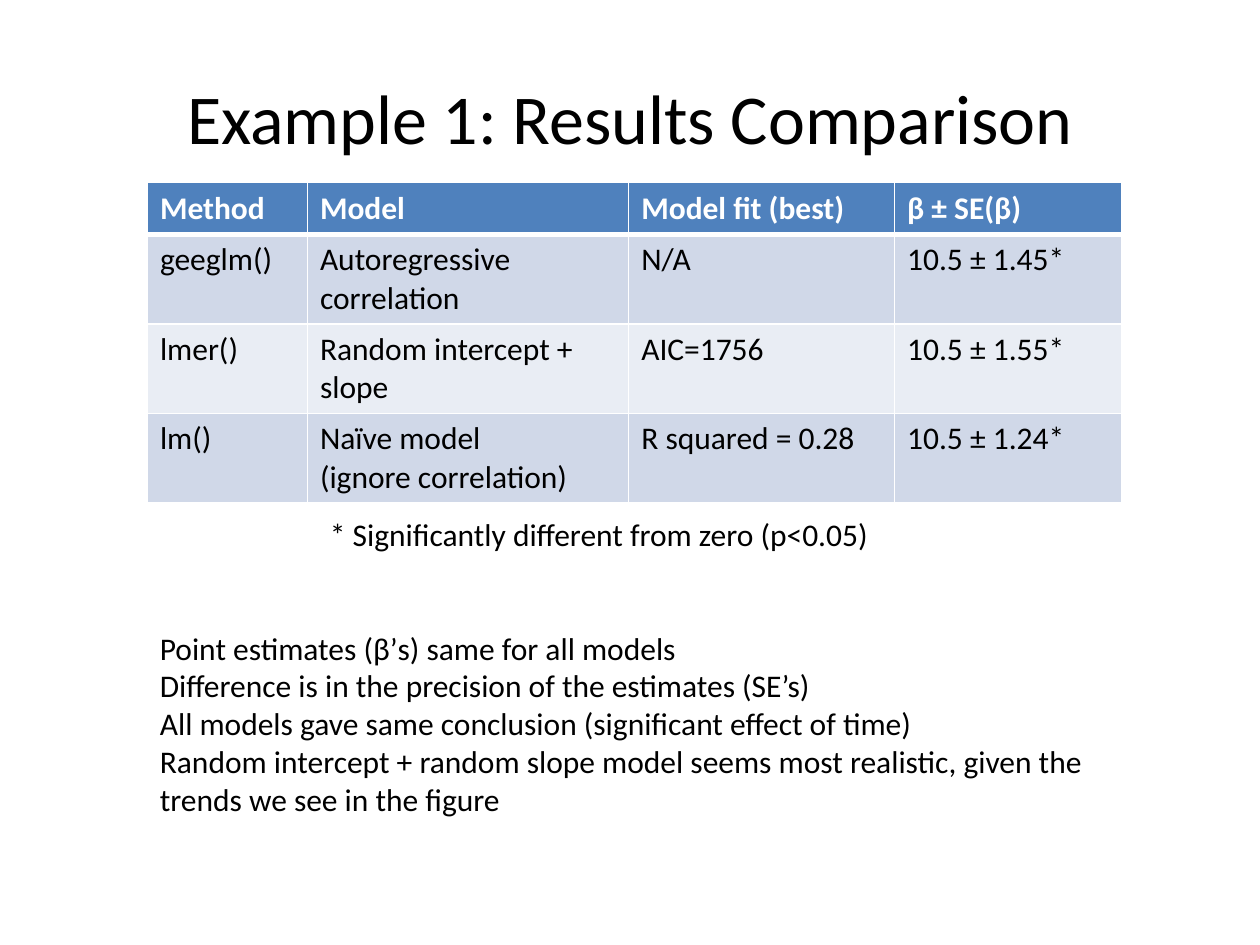
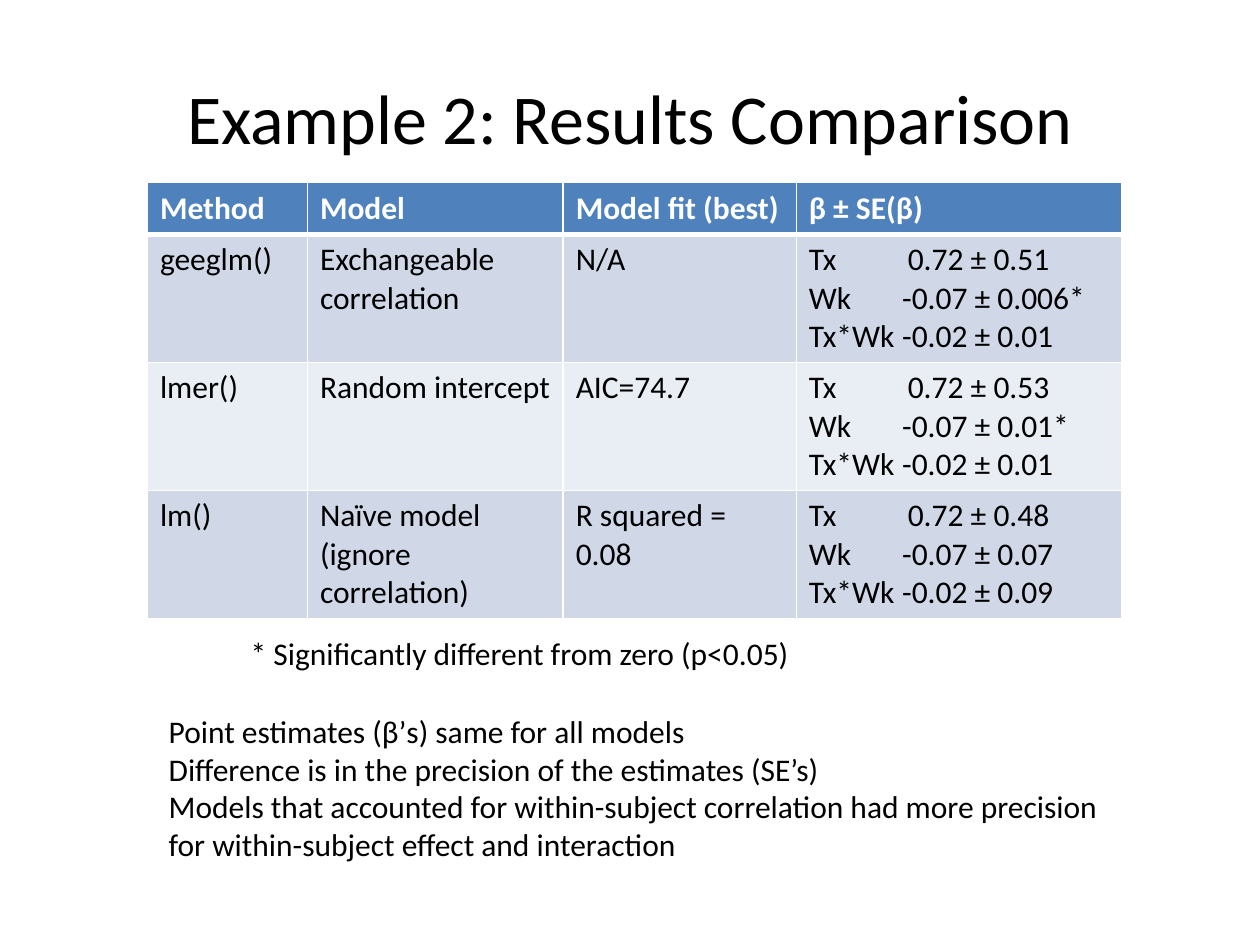
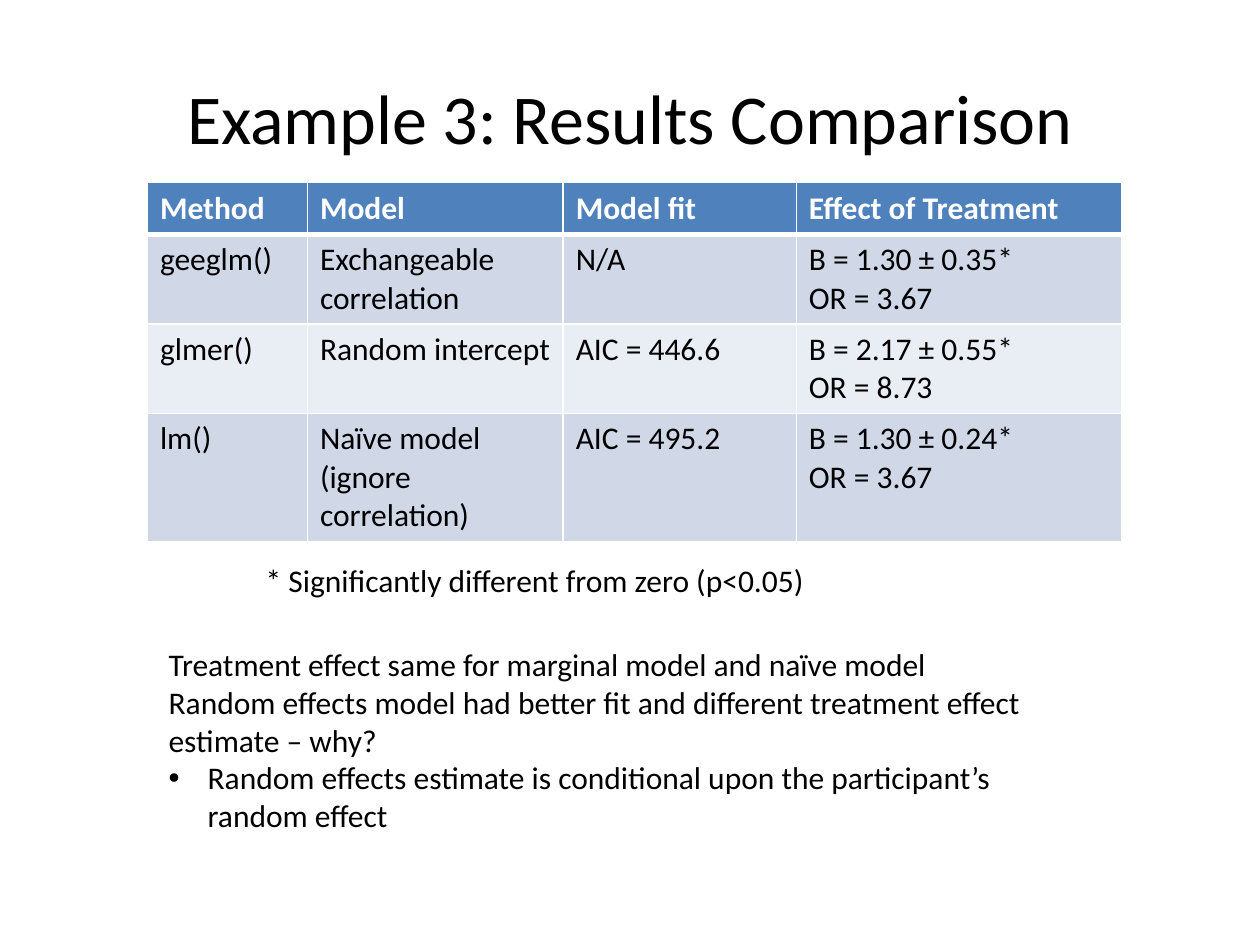
from dataclasses import dataclass
from typing import NamedTuple

import lxml.etree
import pptx
import pptx.dml.color
import pptx.enum.text
import pptx.oxml
import pptx.oxml.ns
import pptx.util


@dataclass(frozen=True)
class Theme:
    font: str = "Calibri"
    title_size: int = 40
    body_size: int = 18
    text: str = "000000"
    header_text: str = "FFFFFF"
    header_fill: str = "4F81BD"
    odd_fill: str = "D0D8E8"
    even_fill: str = "E9EDF4"
    border: str = "FFFFFF"
    thin: int = 1
    thick: int = 3


class Area(NamedTuple):
    left: float
    top: float
    width: float
    height: float


class Line(NamedTuple):
    text: str
    bulleted: bool = False


class Row(NamedTuple):
    cells: tuple[str, ...]
    lines: int = 1


@dataclass(frozen=True)
class Comparison:
    title: str
    columns: tuple[float, ...]
    rows: tuple[Row, ...]
    footnote_area: Area
    findings_area: Area
    findings: tuple[Line, ...]


THEME = Theme()
WIDTH = pptx.util.Inches(10)
HEIGHT = pptx.util.Inches(7.5)
GRID_COLUMNS = 100
GRID_ROWS = 75
TITLE_AREA = Area(5, 3, 90, 12.5)
TABLE_LEFT, TABLE_TOP = 11.7, 14.5
CELL_PADDING_ROWS, TEXT_LINE_ROWS = 1.1, 3
BULLET_INDENT = 3.1
NEGATIVE_TAB, POSITIVE_TAB = 7.4, 7.85
FOOTNOTE = "* Significantly different from zero (p<0.05)"
WIDE_MODEL = (12.7, 25.5, 21.1, 18)
WIDE_ESTIMATE = (12.7, 20.3, 18.5, 25.8)
NAIVE = "Naïve model\n(ignore correlation)"
SAME_ESTIMATES = (
    Line("Point estimates (β’s) same for all models"),
    Line("Difference is in the precision of the estimates (SE’s)"),
)

COMPARISONS = (
    Comparison(
        "Example 1: Results Comparison",
        WIDE_MODEL,
        (
            Row(("Method", "Model", "Model fit (best)", "β ± SE(β)")),
            Row(("geeglm()", "Autoregressive correlation", "N/A", "10.5 ± 1.45*"), 2),
            Row(("lmer()", "Random intercept + slope", "AIC=1756", "10.5 ± 1.55*"), 2),
            Row(("lm()", NAIVE, "R squared = 0.28", "10.5 ± 1.24*"), 2),
        ),
        Area(25.2, 40.4, 60.5, 4),
        Area(11.7, 49.4, 75.8, 16.2),
        SAME_ESTIMATES + (
            Line("All models gave same conclusion (significant effect of time)"),
            Line("Random intercept + random slope model seems most realistic, "
                 "given the trends we see in the figure"),
        ),
    ),
    Comparison(
        "Example 2: Results Comparison",
        WIDE_ESTIMATE,
        (
            Row(("Method", "Model", "Model fit (best)", "β ± SE(β)")),
            Row(("geeglm()", "Exchangeable correlation", "N/A",
                 "Tx\t0.72 ± 0.51\nWk\t-0.07 ± 0.006*\nTx*Wk\t-0.02 ± 0.01"), 3),
            Row(("lmer()", "Random intercept", "AIC=74.7",
                 "Tx\t0.72 ± 0.53\nWk\t-0.07 ± 0.01*\nTx*Wk\t-0.02 ± 0.01"), 3),
            Row(("lm()", NAIVE, "R squared = 0.08",
                 "Tx\t0.72 ± 0.48\nWk\t-0.07 ± 0.07\nTx*Wk\t-0.02 ± 0.09"), 3),
        ),
        Area(18.9, 49.8, 60.5, 4),
        Area(12.4, 56, 75.8, 13.1),
        SAME_ESTIMATES + (
            Line("Models that accounted for within-subject correlation had more precision "
                 "for within-subject effect and interaction"),
        ),
    ),
    Comparison(
        "Example 3: Results Comparison",
        WIDE_ESTIMATE,
        (
            Row(("Method", "Model", "Model fit", "Effect of Treatment")),
            Row(("geeglm()", "Exchangeable correlation", "N/A",
                 "Β = 1.30 ± 0.35*\nOR = 3.67"), 2),
            Row(("glmer()", "Random intercept", "AIC = 446.6",
                 "Β = 2.17 ± 0.55*\nOR = 8.73"), 2),
            Row(("lm()", NAIVE, "AIC = 495.2", "Β = 1.30 ± 0.24*\nOR = 3.67"), 3),
        ),
        Area(20.1, 44, 60.5, 4),
        Area(12.4, 50.7, 70.7, 16.2),
        (
            Line("Treatment effect same for marginal model and naïve model"),
            Line("Random effects model had better fit and different treatment effect "
                 "estimate – why?"),
            Line("Random effects estimate is conditional upon the participant’s random effect",
                 bulleted=True),
        ),
    ),
)


def across(columns: float) -> int:
    return round(WIDTH * columns / GRID_COLUMNS)


def down(rows: float) -> int:
    return round(HEIGHT * rows / GRID_ROWS)


def place(area: Area) -> tuple[int, int, int, int]:
    return across(area.left), down(area.top), across(area.width), down(area.height)


def rgb(value: str) -> pptx.dml.color.RGBColor:
    return pptx.dml.color.RGBColor.from_string(value)


def add_child(parent, tag: str, **attributes: str):
    child = lxml.etree.SubElement(parent, pptx.oxml.ns.qn(tag))
    for name, value in attributes.items():
        child.set(name, value)
    return child


def add_run(paragraph, text: str, size: int = THEME.body_size,
            color: str = THEME.text, bold: bool = False) -> None:
    run = paragraph.add_run()
    run.text = text
    run.font.name = THEME.font
    run.font.size = pptx.util.Pt(size)
    run.font.bold = bold
    run.font.color.rgb = rgb(color)


def add_bullet(paragraph) -> None:
    properties = paragraph._p.get_or_add_pPr()
    properties.set("marL", str(across(BULLET_INDENT)))
    properties.set("indent", str(-across(BULLET_INDENT)))
    add_child(properties, "a:buFont", typeface="Arial")
    add_child(properties, "a:buChar", char="•")


def add_tab(paragraph, position: float) -> None:
    tabs = add_child(paragraph._p.get_or_add_pPr(), "a:tabLst")
    add_child(tabs, "a:tab", pos=str(across(position)), algn="l")


def next_paragraph(frame, index: int):
    return frame.paragraphs[0] if index == 0 else frame.add_paragraph()


def draw_title(slide, text: str) -> None:
    title = slide.shapes.title
    title.left, title.top, title.width, title.height = place(TITLE_AREA)
    frame = title.text_frame
    frame.vertical_anchor = pptx.enum.text.MSO_ANCHOR.MIDDLE
    paragraph = frame.paragraphs[0]
    paragraph.alignment = pptx.enum.text.PP_ALIGN.CENTER
    add_run(paragraph, text, THEME.title_size)


def draw_text(slide, area: Area, lines: tuple[Line, ...]) -> None:
    frame = slide.shapes.add_textbox(*place(area)).text_frame
    frame.word_wrap = True
    frame.auto_size = pptx.enum.text.MSO_AUTO_SIZE.SHAPE_TO_FIT_TEXT
    for index, line in enumerate(lines):
        paragraph = next_paragraph(frame, index)
        if line.bulleted:
            add_bullet(paragraph)
        add_run(paragraph, line.text)


def add_borders(cell, row_index: int) -> None:
    properties = cell._tc.get_or_add_tcPr()
    widths = {
        "a:lnL": THEME.thin,
        "a:lnR": THEME.thin,
        "a:lnT": THEME.thick if row_index == 1 else THEME.thin,
        "a:lnB": THEME.thick if row_index == 0 else THEME.thin,
    }
    for tag, width in widths.items():
        border = add_child(properties, tag, w=str(pptx.util.Pt(width)))
        add_child(add_child(border, "a:solidFill"), "a:srgbClr", val=THEME.border)


def draw_cell(cell, text: str, row_index: int) -> None:
    is_header = row_index == 0
    band = THEME.odd_fill if row_index % 2 else THEME.even_fill
    add_borders(cell, row_index)
    cell.fill.solid()
    cell.fill.fore_color.rgb = rgb(THEME.header_fill if is_header else band)
    for index, line in enumerate(text.split("\n")):
        paragraph = next_paragraph(cell.text_frame, index)
        if "\t" in line:
            add_tab(paragraph, NEGATIVE_TAB if "\t-" in line else POSITIVE_TAB)
        add_run(paragraph, line, color=THEME.header_text if is_header else THEME.text,
                bold=is_header)


def draw_table(slide, columns: tuple[float, ...], rows: tuple[Row, ...]) -> None:
    heights = [CELL_PADDING_ROWS + TEXT_LINE_ROWS * row.lines for row in rows]
    area = Area(TABLE_LEFT, TABLE_TOP, sum(columns), sum(heights))
    table = slide.shapes.add_table(len(rows), len(columns), *place(area)).table
    table.horz_banding = False
    for column, width in zip(table.columns, columns):
        column.width = across(width)
    for row_index, row in enumerate(rows):
        table.rows[row_index].height = down(heights[row_index])
        for column_index, text in enumerate(row.cells):
            draw_cell(table.cell(row_index, column_index), text, row_index)


def draw_comparison(presentation, comparison: Comparison) -> None:
    slide = presentation.slides.add_slide(presentation.slide_layouts.get_by_name("Title Only"))
    draw_title(slide, comparison.title)
    draw_table(slide, comparison.columns, comparison.rows)
    draw_text(slide, comparison.footnote_area, (Line(FOOTNOTE),))
    draw_text(slide, comparison.findings_area, comparison.findings)


def main() -> None:
    presentation = pptx.Presentation()
    presentation.slide_width = WIDTH
    presentation.slide_height = HEIGHT
    for comparison in COMPARISONS:
        draw_comparison(presentation, comparison)
    presentation.save("out.pptx")


if __name__ == "__main__":
    main()
